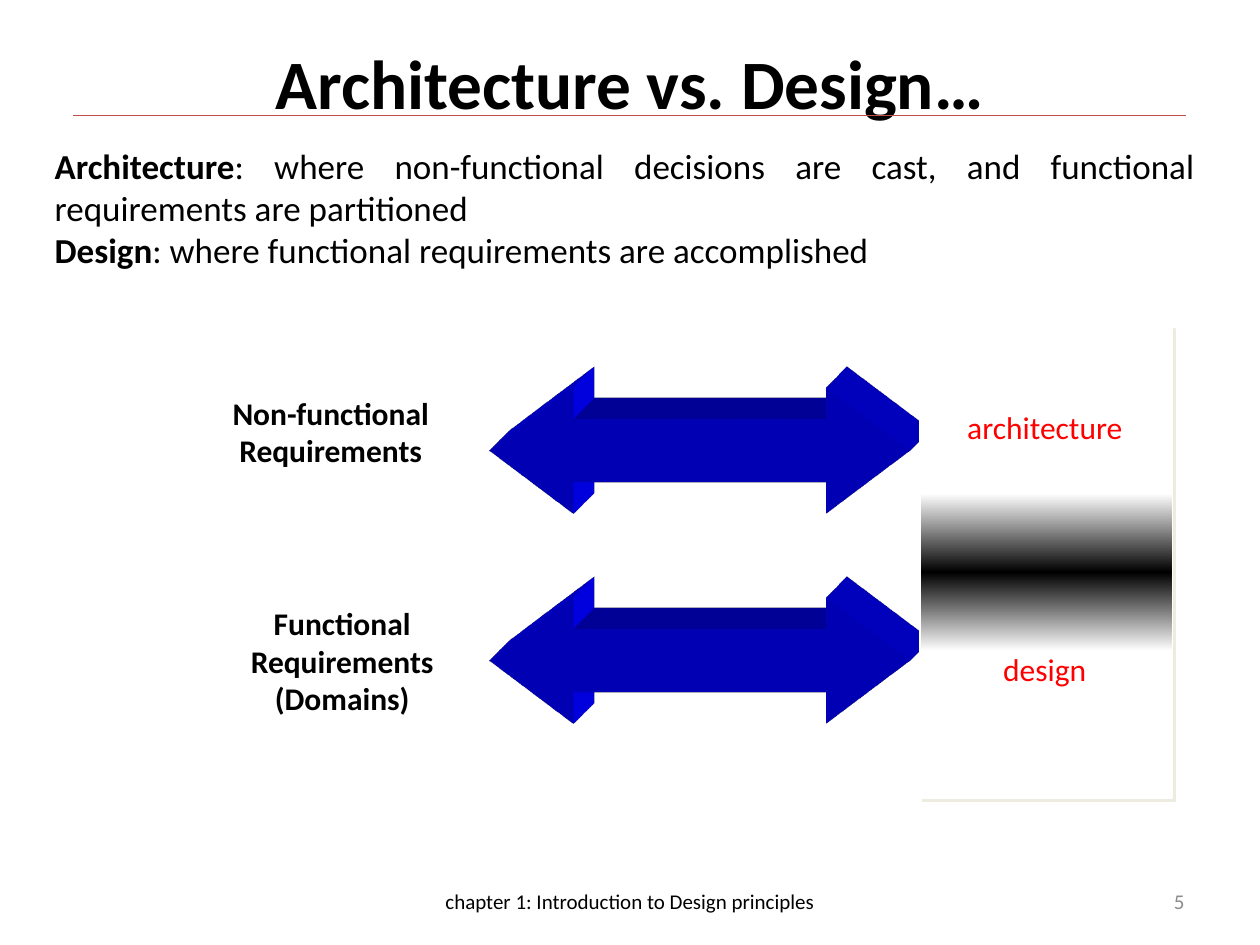
from copy import deepcopy

from lxml import etree
from pptx import Presentation
from pptx.dml.color import RGBColor
from pptx.enum.shapes import MSO_CONNECTOR, MSO_SHAPE
from pptx.enum.text import MSO_ANCHOR, MSO_AUTO_SIZE, PP_ALIGN
from pptx.oxml.ns import qn
from pptx.util import Inches, Pt

CENTER, RIGHT, JUSTIFY = PP_ALIGN.CENTER, PP_ALIGN.RIGHT, PP_ALIGN.JUSTIFY
MIDDLE, NO_FIT = MSO_ANCHOR.MIDDLE, MSO_AUTO_SIZE.NONE
RECTANGLE, DOUBLE_ARROW = MSO_SHAPE.RECTANGLE, MSO_SHAPE.LEFT_RIGHT_ARROW
STRAIGHT = MSO_CONNECTOR.STRAIGHT

CELL = Inches(10) / 120  # square grid: 120 columns by 90 rows
A_NS = 'xmlns:a="http://schemas.openxmlformats.org/drawingml/2006/main"'
EXTRUSION = (
    f'<a:scene3d {A_NS}><a:camera prst="legacyObliqueTopRight"/>'
    '<a:lightRig rig="legacyFlat3" dir="b"/></a:scene3d>',
    f'<a:sp3d {A_NS} extrusionH="430200" prstMaterial="legacyMatte">'
    '<a:extrusionClr><a:srgbClr val="0000FF"/></a:extrusionClr></a:sp3d>',
)
PANEL_SHADOW = (
    f'<a:effectLst {A_NS}><a:outerShdw dist="35560" dir="2700000" algn="ctr" rotWithShape="0">'
    '<a:srgbClr val="EEECE1"/></a:outerShdw></a:effectLst>'
)


def color(hex_value):
    return RGBColor.from_string(hex_value)


def grid(*cells):
    return [round(cell * CELL) for cell in cells]


def append_xml(shape, *parts):
    for part in parts:
        shape._element.spPr.append(etree.fromstring(part))


class SlideBuilder:
    font = "Calibri"

    def __init__(self, slide):
        self.slide = slide

    def fill_text(self, holder, paragraphs, size, align=CENTER, hex_color="000000",
                  blank_below=0):
        """Each paragraph is a list of (text, bold) runs."""
        frame = holder.text_frame
        settings = {"word_wrap": True, "auto_size": NO_FIT, "vertical_anchor": MIDDLE,
                    "margin_bottom": Inches(0.05 + blank_below)}
        for name, value in settings.items():
            setattr(frame, name, value)
        for index, runs in enumerate(paragraphs):
            paragraph = frame.add_paragraph() if index else frame.paragraphs[0]
            paragraph.alignment = align
            for text, bold in runs:
                lines = text.split("\n")
                for number, line in enumerate(lines):
                    if number:
                        paragraph.add_line_break()
                    run = paragraph.add_run()
                    run.text = line
                    style = {"name": self.font, "size": Pt(size), "bold": bold}
                    for name, value in style.items():
                        setattr(run.font, name, value)
                    run.font.color.rgb = color(hex_color)

    def placeholder(self, index, box, paragraphs, size, align=CENTER):
        holder = self.slide.placeholders[index]
        for name, value in zip(("left", "top", "width", "height"), grid(*box)):
            setattr(holder, name, value)
        self.fill_text(holder, paragraphs, size, align)
        return holder

    def body(self, box, paragraphs, size):
        holder = self.placeholder(1, box, paragraphs, size, JUSTIFY)
        for paragraph in holder.text_frame.paragraphs:
            properties = paragraph._p.get_or_add_pPr()
            properties.set("marL", "0")
            properties.set("indent", "0")
            etree.SubElement(properties, qn("a:buNone"))
            paragraph.space_before = Pt(0)

    def text(self, box, text, size, bold=False, **style):
        holder = self.slide.shapes.add_textbox(*grid(*box))
        self.fill_text(holder, [[(text, bold)]], size, **style)

    def shape(self, kind, box, fill=None):
        shape = self.slide.shapes.add_shape(kind, *grid(*box))
        shape.line.fill.background()
        if fill:
            shape.fill.solid()
            shape.fill.fore_color.rgb = color(fill)
        return shape

    def block_arrow(self, box):
        arrow = self.shape(DOUBLE_ARROW, box, "0000FF")
        arrow.shadow.inherit = False
        arrow.adjustments[0], arrow.adjustments[1] = 0.5, 0.667
        append_xml(arrow, *EXTRUSION)

    def panel(self, box):
        panel = self.shape(RECTANGLE, box, "FFFFFF")
        panel.line.color.rgb = color("FFFFFF")
        panel.line.width = Pt(1)
        append_xml(panel, PANEL_SHADOW)

    def gradient_band(self, box, stops):
        band = self.shape(RECTANGLE, box)
        band.shadow.inherit = False
        band.fill.gradient()
        band.fill.gradient_angle = 270
        stop_list = band._element.spPr.find(".//" + qn("a:gsLst"))
        stop_list.append(deepcopy(stop_list[0]))
        for stop, (position, hex_color) in zip(band.fill.gradient_stops, stops):
            stop.position = position
            stop.color.rgb = color(hex_color)

    def rule(self, left, right, row, hex_color, width):
        line = self.slide.shapes.add_connector(STRAIGHT, *grid(left, row, right, row))
        line.line.color.rgb = color(hex_color)
        line.line.width = Pt(width)
        append_xml(line, f"<a:effectLst {A_NS}/>")


def main():
    deck = Presentation()
    deck.slide_width, deck.slide_height = Inches(10), Inches(7.5)
    page = SlideBuilder(deck.slides.add_slide(deck.slide_layouts[1]))

    # Title and definitions
    page.placeholder(0, (6, 3.6, 108, 8.4), [[("Architecture vs. Design…", True)]], 39.6)
    definitions = [
        ("Architecture", ": where non-functional decisions are cast, "
                         "and functional requirements are partitioned"),
        ("Design", ": where functional requirements are accomplished"),
    ]
    page.body((4, 13.1, 111, 13.3),
              [[(term, True), (meaning, False)] for term, meaning in definitions], 20)

    # Requirement kinds, each with its arrow to the panel
    requirements = [
        (16.5, 36.9, "Non-functional Requirements", 0.3),
        (17.6, 56.9, "Functional Requirements\n(Domains)", 0),
    ]
    for left, top, label, blank_below in requirements:
        page.text((left, top, 30, 12), label, 18, bold=True, blank_below=blank_below)
        page.block_arrow((46.6, top, 40, 12))

    # Panel where architecture blends into design
    page.panel((87.6, 31, 24, 45))
    page.rule(87.6, 111.6, 53, "FFFFFF", 2.25)
    page.gradient_band((87.7, 47, 23.9, 15),
                       [(0, "FFFFFF"), (0.5, "000000"), (1, "FFFFFF")])
    for top, level in ((32, "architecture"), (55, "design")):
        page.text((88.5, top, 22, 21), level, 18, hex_color="FF0000", blank_below=0.3)

    # Title rule and footer
    page.rule(7, 113, 11, "BF4C48", 0.75)
    page.text((41, 83.4, 38, 4.8), "chapter 1: Introduction to Design principles", 12)
    page.text((86, 83.4, 28, 4.8), "5", 12, align=RIGHT, hex_color="8C8C8C")

    deck.save("out.pptx")


if __name__ == "__main__":
    main()
